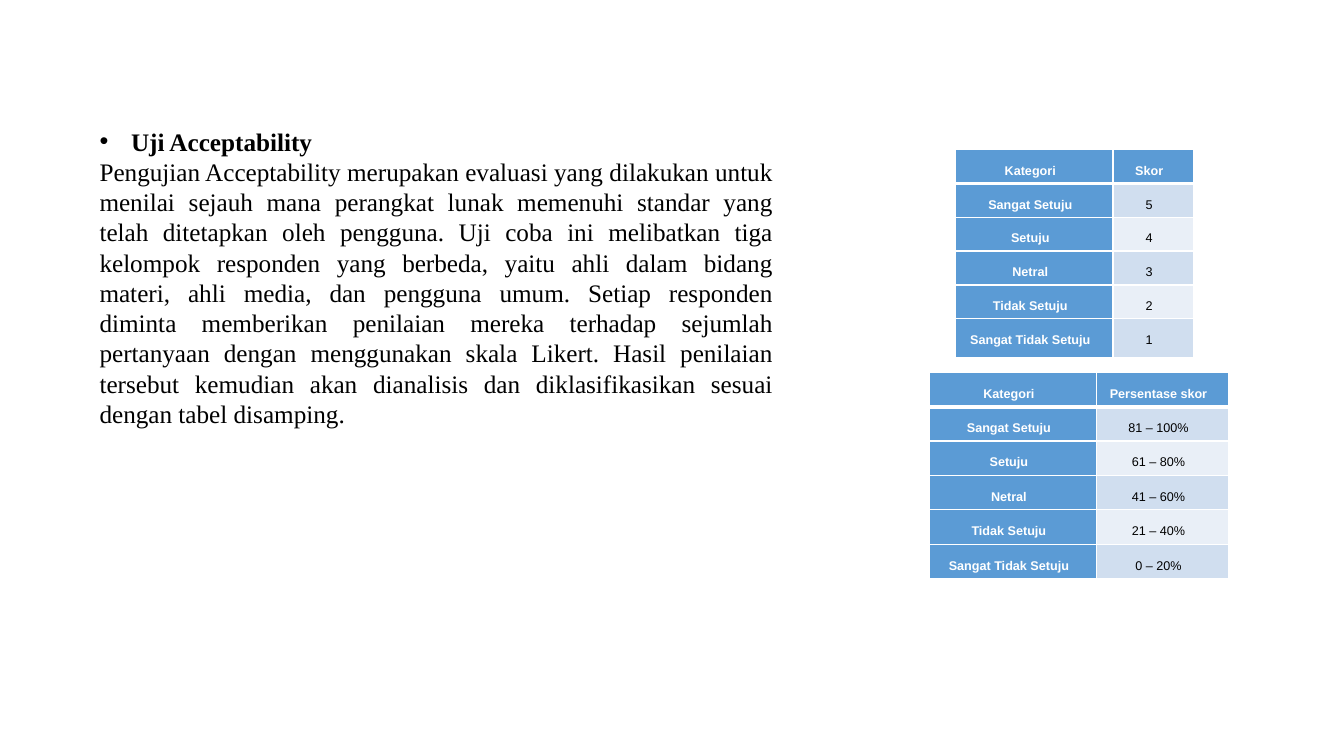
from dataclasses import dataclass

from lxml.etree import SubElement
from pptx import Presentation
from pptx.dml.color import RGBColor
from pptx.enum.text import MSO_AUTO_SIZE as AutoSize, PP_ALIGN as Align
from pptx.oxml.ns import qn
from pptx.slide import Slide
from pptx.table import _Cell as Cell
from pptx.util import Pt

BLACK, WHITE = "000000", "FFFFFF"
BLUE = "5B9BD5"
BANDS = ("D0DEEF", "E9EFF7")
CATEGORIES = ("Sangat Setuju", "Setuju", "Netral", "Tidak Setuju", "Sangat Tidak Setuju")
HEADING = "Uji Acceptability"
BODY = (
    "Pengujian Acceptability merupakan evaluasi yang dilakukan untuk menilai sejauh mana "
    "perangkat lunak memenuhi standar yang telah ditetapkan oleh pengguna. Uji coba ini "
    "melibatkan tiga kelompok responden yang berbeda, yaitu ahli dalam bidang materi, ahli "
    "media, dan pengguna umum. Setiap responden diminta memberikan penilaian mereka terhadap "
    "sejumlah pertanyaan dengan menggunakan skala Likert. Hasil penilaian tersebut kemudian "
    "akan dianalisis dan diklasifikasikan sesuai dengan tabel disamping."
)


@dataclass
class ScoreTable:
    left: float
    top: float
    column_widths: tuple[float, float]
    row_height: float
    last_row_height: float
    value_title: str
    values: tuple[str, ...]


SCORE_TABLES = (
    ScoreTable(682.4, 106.8, (112.6, 57.4), 24.2, 28, "Skor", ("5", "4", "3", "2", "1")),
    ScoreTable(663.8, 265.9, (119.3, 94.5), 24.6, 24.6, "Persentase skor",
               ("81 – 100%", "61 – 80%", "41 – 60%", "21 – 40%", "0 – 20%")),
)


def rgb(color: str) -> RGBColor:
    return RGBColor.from_string(color)


def add_run(paragraph, text: str, font_name: str, size: float, color: str, bold: bool) -> None:
    run = paragraph.add_run()
    run.text = text
    run.font.name = font_name
    run.font.size = Pt(size)
    run.font.bold = bold
    run.font.color.rgb = rgb(color)


def set_borders(cell: Cell, top: float, bottom: float) -> None:
    properties = cell._tc.get_or_add_tcPr()
    for side, width in (("L", 1), ("R", 1), ("T", top), ("B", bottom)):
        line = SubElement(properties, qn(f"a:ln{side}"), w=str(Pt(width)))
        fill = SubElement(line, qn("a:solidFill"))
        SubElement(fill, qn("a:srgbClr"), val=WHITE)


def fill_cell(cell: Cell, text: str, row: int, column: int) -> None:
    is_label = row == 0 or column == 0
    set_borders(cell, top=3 if row == 1 else 1, bottom=3 if row == 0 else 1)
    cell.fill.solid()
    cell.fill.fore_color.rgb = rgb(BLUE if is_label else BANDS[(row - 1) % 2])
    cell.margin_left, cell.margin_right = Pt(5.8), Pt(11.4)
    cell.margin_top, cell.margin_bottom = Pt(5.2), Pt(0)
    paragraph = cell.text_frame.paragraphs[0]
    paragraph.alignment = Align.CENTER
    paragraph.line_spacing = 1.5
    add_run(paragraph, text, "Arial", 9, WHITE if is_label else BLACK, is_label)


def add_score_table(slide: Slide, spec_table: ScoreTable) -> None:
    rows = [("Kategori", spec_table.value_title), *zip(CATEGORIES, spec_table.values)]
    heights = [spec_table.row_height] * (len(rows) - 1) + [spec_table.last_row_height]
    table = slide.shapes.add_table(
        len(rows), 2, Pt(spec_table.left), Pt(spec_table.top),
        Pt(sum(spec_table.column_widths)), Pt(sum(heights)),
    ).table
    table.first_row = table.horz_banding = False
    for column, width in zip(table.columns, spec_table.column_widths):
        column.width = Pt(width)
    for row_index, (texts, height) in enumerate(zip(rows, heights)):
        table.rows[row_index].height = Pt(height)
        for column_index, text in enumerate(texts):
            fill_cell(table.cell(row_index, column_index), text, row_index, column_index)


def add_description(slide: Slide) -> None:
    frame = slide.shapes.add_textbox(Pt(64), Pt(86.4), Pt(495.4), Pt(225.4)).text_frame
    frame.word_wrap = True
    frame.auto_size = AutoSize.SHAPE_TO_FIT_TEXT

    # Bulleted heading
    heading = frame.paragraphs[0]
    properties = heading._p.get_or_add_pPr()
    properties.set("marL", str(Pt(22.5)))
    properties.set("indent", str(-Pt(22.5)))
    bullet_color = SubElement(properties, qn("a:buClr"))
    SubElement(bullet_color, qn("a:srgbClr"), val=BLACK)
    SubElement(properties, qn("a:buFont"), typeface="Arial")
    SubElement(properties, qn("a:buChar"), char="•")
    add_run(heading, HEADING, "Times New Roman", 18, BLACK, True)

    # Justified explanation
    body = frame.add_paragraph()
    body.alignment = Align.JUSTIFY
    add_run(body, BODY, "Times New Roman", 18, BLACK, False)


def main() -> None:
    presentation = Presentation()
    presentation.slide_width, presentation.slide_height = Pt(960), Pt(540)
    slide = presentation.slides.add_slide(presentation.slide_layouts[6])
    add_description(slide)
    for score_table in SCORE_TABLES:
        add_score_table(slide, score_table)
    presentation.save("out.pptx")


if __name__ == "__main__":
    main()
